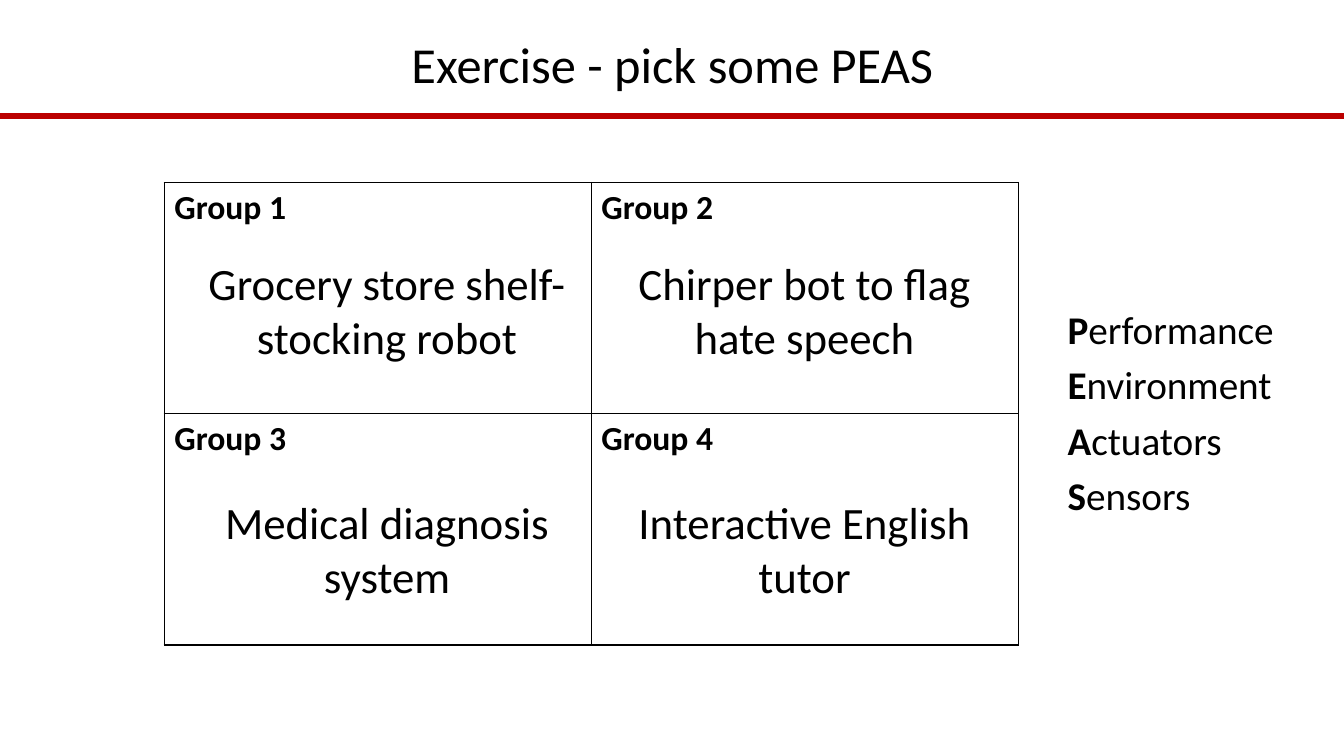
"""Build the PEAS group exercise slide."""
from pptx import Presentation
from pptx.dml.color import RGBColor
from pptx.enum.shapes import MSO_CONNECTOR
from pptx.enum.text import MSO_ANCHOR, MSO_AUTO_SIZE, PP_ALIGN
from pptx.oxml.ns import qn
from pptx.util import Inches, Pt
from lxml.etree import SubElement


def color(hex_code):
    return RGBColor.from_string(hex_code)


def add_run(paragraph, text, size, bold=False):
    run = paragraph.add_run()
    run.text = text
    run.font.name = "Calibri"
    run.font.size = Pt(size)
    run.font.bold = bold
    run.font.color.rgb = color("000000")


prs = Presentation()
prs.slide_width = Inches(13.33)
prs.slide_height = Inches(7.5)
slide = prs.slides.add_slide(prs.slide_layouts[5])

rule = slide.shapes.add_connector(
    MSO_CONNECTOR.STRAIGHT, 0, Inches(1.15), prs.slide_width, Inches(1.15))
rule.line.color.rgb = color("BB0000")
rule.line.width = Pt(4)
SubElement(rule._element.spPr, qn("a:effectLst"))

title = slide.shapes.title
title.left, title.top = Inches(0.92), Inches(0.34)
title.width, title.height = Inches(11.5), Inches(0.66)
title.text_frame.auto_size = MSO_AUTO_SIZE.NONE
title.text_frame.vertical_anchor = MSO_ANCHOR.MIDDLE
heading = title.text_frame.paragraphs[0]
heading.alignment = PP_ALIGN.CENTER
heading.line_spacing = 0.9
add_run(heading, "Exercise - pick some PEAS", 36)

groups = slide.shapes.add_table(
    2, 2, Inches(1.63), Inches(1.81), Inches(8.47), Inches(4.59)).table
groups.first_row = False
groups.horz_banding = False
for number, cell in enumerate(groups.iter_cells(), 1):
    add_run(cell.text_frame.paragraphs[0], f"Group {number}", 24, bold=True)
    properties = cell._tc.get_or_add_tcPr()
    for side in ("a:lnL", "a:lnR", "a:lnT", "a:lnB"):
        border = SubElement(properties, qn(side), w=str(Pt(1)))
        border_fill = SubElement(border, qn("a:solidFill"))
        SubElement(border_fill, qn("a:srgbClr"), val="000000")
    cell.fill.background()

tasks = [
    ["Grocery store shelf-stocking robot", "Chirper bot to flag hate speech"],
    ["Medical diagnosis system", "Interactive English tutor"],
]
for row, row_tasks in enumerate(tasks):
    for column, task in enumerate(row_tasks):
        task_box = slide.shapes.add_textbox(
            Inches(1.91 + 4.14 * column), Inches(2.49 + 2.37 * row),
            Inches(3.86), Inches(1.18))
        task_box.text_frame.word_wrap = True
        task_box.text_frame.auto_size = MSO_AUTO_SIZE.SHAPE_TO_FIT_TEXT
        task_line = task_box.text_frame.paragraphs[0]
        task_line.alignment = PP_ALIGN.CENTER
        add_run(task_line, task, 32)

acronym = slide.shapes.add_textbox(
    Inches(10.49), Inches(2.98), Inches(2.51), Inches(2.24)).text_frame
acronym.word_wrap = True
acronym.auto_size = MSO_AUTO_SIZE.SHAPE_TO_FIT_TEXT
for index, word in enumerate(["Performance", "Environment", "Actuators", "Sensors"]):
    entry = acronym.add_paragraph() if index else acronym.paragraphs[0]
    entry.space_after = Pt(6)
    add_run(entry, word[0], 28, bold=True)
    add_run(entry, word[1:], 28)

prs.save("out.pptx")
